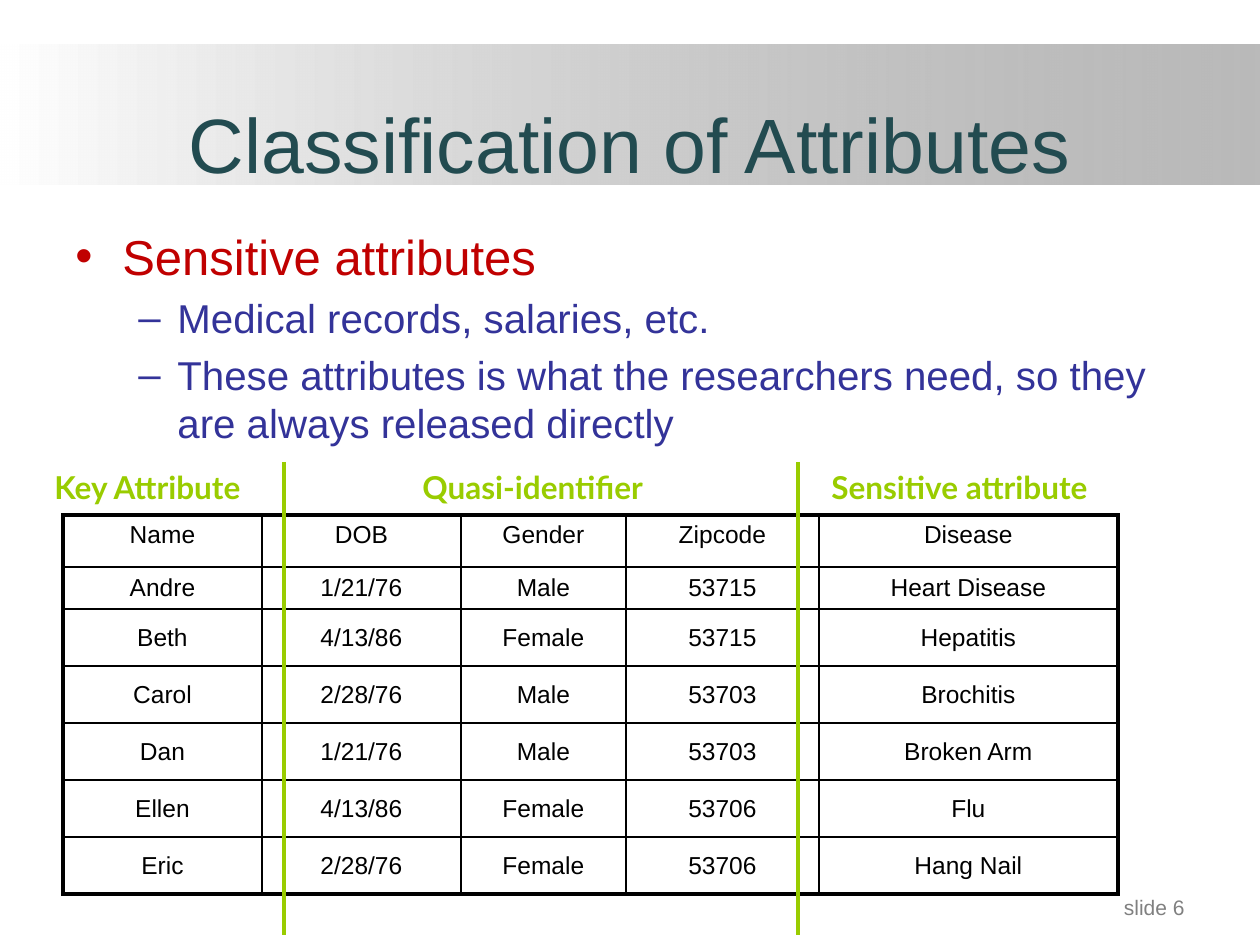
from dataclasses import dataclass

from lxml.etree import SubElement
from pptx import Presentation
from pptx.dml.color import RGBColor
from pptx.enum.shapes import MSO_CONNECTOR, MSO_SHAPE
from pptx.enum.text import MSO_ANCHOR, PP_ALIGN
from pptx.oxml.ns import qn
from pptx.util import Emu, Pt

# Content
TITLE = "Classification of Attributes"
FOOTER = "slide 6"
BULLETS = [
    (0, "Sensitive attributes"),
    (1, "Medical records, salaries, etc."),
    (1, "These attributes is what the researchers need, "
        "so they are always released directly"),
]
GROUPS = [  # text, left, width
    ("Key Attribute", 42, 238),
    ("Quasi-identifier", 410, 325),
    ("Sensitive attribute", 819, 325),
]
RECORDS = [
    ("Name", "DOB", "Gender", "Zipcode", "Disease"),
    ("Andre", "1/21/76", "Male", "53715", "Heart Disease"),
    ("Beth", "4/13/86", "Female", "53715", "Hepatitis"),
    ("Carol", "2/28/76", "Male", "53703", "Brochitis"),
    ("Dan", "1/21/76", "Male", "53703", "Broken Arm"),
    ("Ellen", "4/13/86", "Female", "53706", "Flu"),
    ("Eric", "2/28/76", "Female", "53706", "Hang Nail"),
]
COLUMN_WIDTHS = [199, 199, 165, 193, 299]
ROW_HEIGHTS = [52, 40] + [57] * 5
DIVIDERS = [284, 798]
DIVIDER_TOP, DIVIDER_BOTTOM = 462, 935


@dataclass(frozen=True)
class Theme:
    font: str = "Arial"
    label_font: str = "Lato"
    title: str = "224B50"
    levels: tuple = ("C00000", "333399")
    accent: str = "99CC00"
    ink: str = "000000"
    white: str = "FFFFFF"
    grey: str = "808080"
    title_size: int = 44
    level_sizes: tuple = (28, 23)
    label_size: int = 18
    cell_size: int = 14
    footer_size: int = 12
    thin: float = 1
    thick: float = 2.25


THEME = Theme()
# Per level: bullet character, text indent, hanging indent
BULLET_STYLE = [("•", 47, 47), ("–", 102, 39)]


def px(n):
    return Emu(n * 914400 // 126)


def rgb(value):
    return RGBColor.from_string(value)


def style(p, size, color, font=THEME.font, bold=False, align=PP_ALIGN.LEFT):
    p.alignment = align
    for r in p.runs:
        r.font.size, r.font.name, r.font.bold = Pt(size), font, bold
        r.font.color.rgb = rgb(color)


def add_text(s, box, text, anchor=MSO_ANCHOR.TOP):
    tf = s.shapes.add_textbox(*map(px, box)).text_frame
    tf.word_wrap = True
    tf.vertical_anchor = anchor
    tf.text = text
    return tf


def add_band(s):
    sp = s.shapes.add_shape(MSO_SHAPE.RECTANGLE, *map(px, (0, 45, 1260, 140)))
    sp.shadow.inherit = False
    sp.line.fill.background()
    sp.fill.gradient()
    sp.fill.gradient_angle = 0
    first, last = sp.fill.gradient_stops
    first.position, last.position = 0, 1
    first.color.rgb, last.color.rgb = rgb(THEME.white), rgb(THEME.grey)
    grey = sp.element.spPr.findall(".//" + qn("a:srgbClr"))[-1]
    SubElement(grey, qn("a:alpha"), val="54000")


def add_bullets(s):
    tf = add_text(s, (63, 220, 1102, 252), "\n".join(t for _, t in BULLETS))
    for p, (level, _) in zip(tf.paragraphs, BULLETS):
        char, indent, hanging = BULLET_STYLE[level]
        style(p, THEME.level_sizes[level], THEME.levels[level])
        if level:
            p.level = level
            p.space_before = Pt(5)
            p.line_spacing = Pt(27.5)
        pPr = p._p.get_or_add_pPr()
        pPr.set("marL", str(px(indent)))
        pPr.set("indent", str(-px(hanging)))
        SubElement(pPr, qn("a:buFont"), typeface=THEME.font)
        SubElement(pPr, qn("a:buChar"), char=char)


def set_borders(cell, outer_sides):
    tcPr = cell._tc.get_or_add_tcPr()
    for i, side in enumerate("LRTB"):
        width = THEME.thick if side in outer_sides else THEME.thin
        ln = SubElement(tcPr, qn("a:ln" + side), w=str(Pt(width)))
        fill = SubElement(ln, qn("a:solidFill"))
        SubElement(fill, qn("a:srgbClr"), val=THEME.ink)


def add_records(s):
    rows, cols = len(ROW_HEIGHTS), len(COLUMN_WIDTHS)
    size = sum(COLUMN_WIDTHS), sum(ROW_HEIGHTS)
    table = s.shapes.add_table(rows, cols, *map(px, (63, 515, *size))).table
    table.first_row = table.horz_banding = False
    for column, width in zip(table.columns, COLUMN_WIDTHS):
        column.width = px(width)
    for i, (row, height) in enumerate(zip(table.rows, ROW_HEIGHTS)):
        row.height = px(height)
        for j, cell in enumerate(row.cells):
            cell.text = RECORDS[i][j]
            cell.vertical_anchor = MSO_ANCHOR.MIDDLE if i else MSO_ANCHOR.TOP
            style(cell.text_frame.paragraphs[0], THEME.cell_size, THEME.ink,
                  align=PP_ALIGN.CENTER)
            edges = {"L": j == 0, "R": j == cols - 1,
                     "T": i == 0, "B": i == rows - 1}
            set_borders(cell, [side for side, outer in edges.items() if outer])
            cell.fill.background()


def add_divider(s, x):
    line = s.shapes.add_connector(MSO_CONNECTOR.STRAIGHT, px(x), px(DIVIDER_TOP),
                                  px(x), px(DIVIDER_BOTTOM))
    line.line.color.rgb = rgb(THEME.accent)
    line.line.width = Pt(THEME.thick)
    SubElement(line.element.spPr, qn("a:effectLst"))


def main():
    prs = Presentation()
    prs.slide_width, prs.slide_height = px(1260), px(945)
    s = prs.slides.add_slide(prs.slide_layouts[6])

    # Title band and bullets
    add_band(s)
    tf = add_text(s, (63, 38, 1134, 157), TITLE, MSO_ANCHOR.BOTTOM)
    style(tf.paragraphs[0], THEME.title_size, THEME.title, align=PP_ALIGN.CENTER)
    add_bullets(s)

    # Table with its attribute groups
    add_records(s)
    for text, left, width in GROUPS:
        tf = add_text(s, (left, DIVIDER_TOP, width, 50), text)
        style(tf.paragraphs[0], THEME.label_size, THEME.accent,
              THEME.label_font, bold=True)
    for x in DIVIDERS:
        add_divider(s, x)

    # Slide number
    tf = add_text(s, (903, 861, 294, 65), FOOTER, MSO_ANCHOR.BOTTOM)
    style(tf.paragraphs[0], THEME.footer_size, THEME.grey, align=PP_ALIGN.RIGHT)
    prs.save("out.pptx")


if __name__ == "__main__":
    main()
